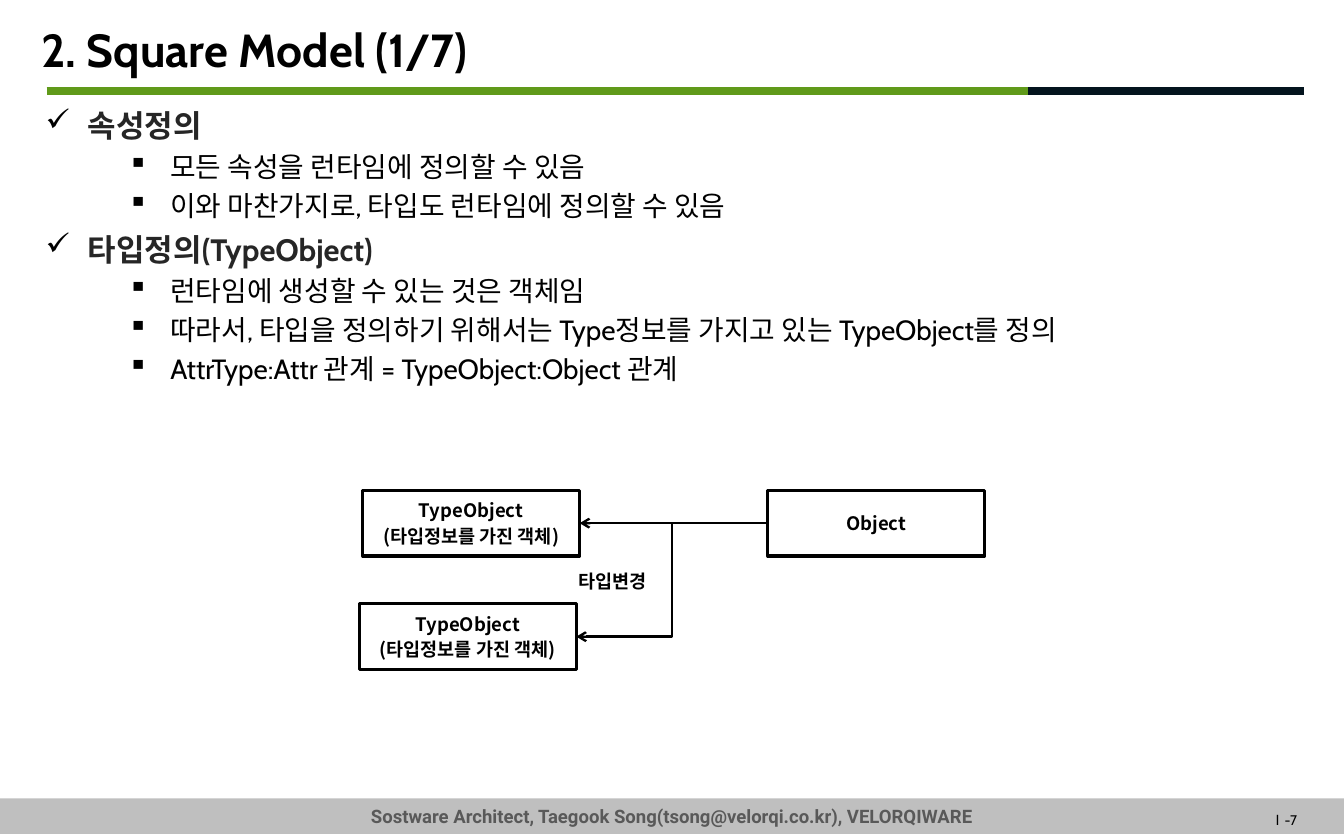
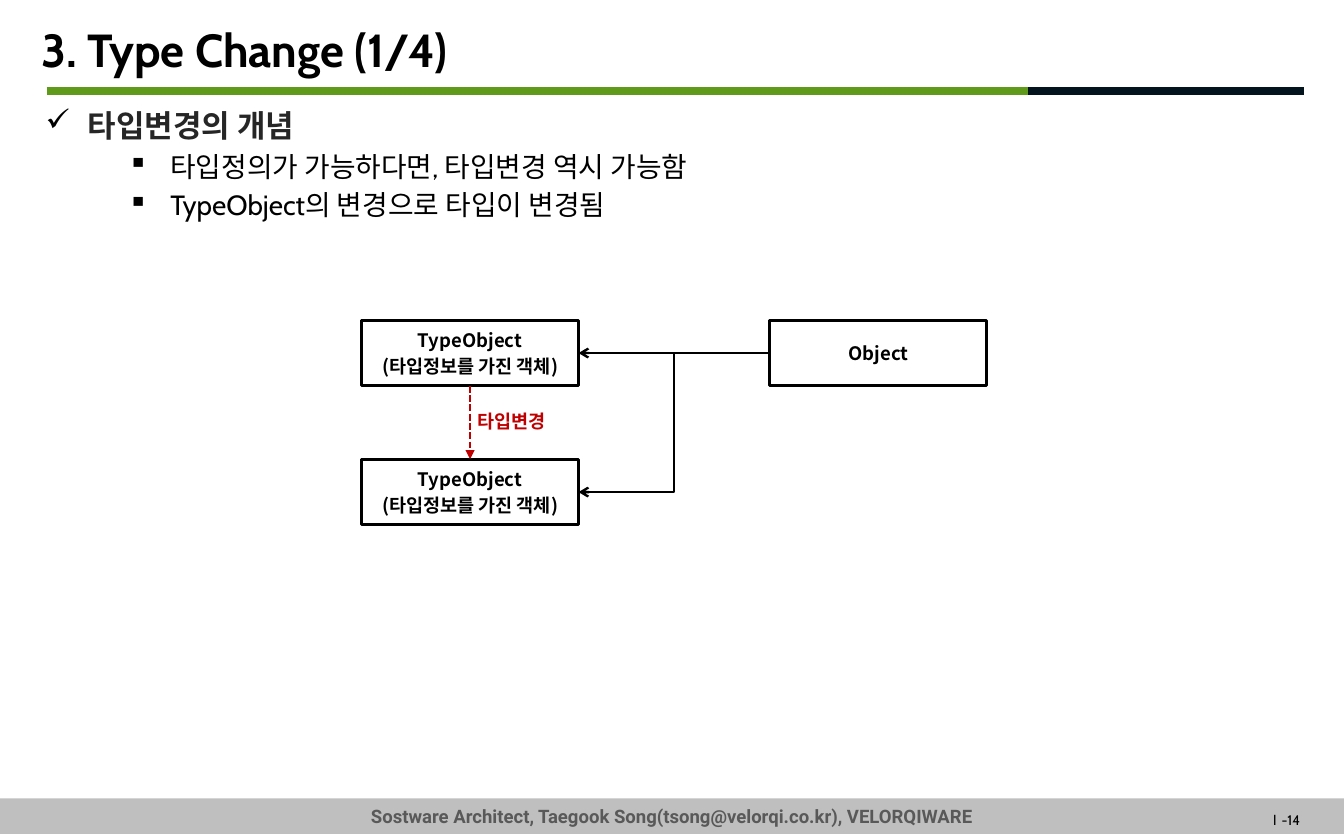
from dataclasses import dataclass

from lxml import etree
from pptx import Presentation
from pptx import util as u
from pptx.dml.color import RGBColor
from pptx.enum import dml, shapes, text
from pptx.oxml import ns

PX = 9144


@dataclass(frozen=True)
class Theme:
    black: str = "000000"
    white: str = "FFFFFF"
    heading: str = "262626"
    green: str = "609A1A"
    navy: str = "04141E"
    band: str = "BFBFBF"
    footer: str = "595959"
    red: str = "C00000"
    body_font: str = "Cabin"
    box_font: str = "Noto Sans CJK KR"
    footer_font: str = "Roboto"
    title_size: int = 30
    heading_size: int = 20
    item_size: int = 18
    label_size: int = 12
    page_size: int = 9


T = Theme()
FOOTER = "Sostware Architect, Taegook Song(tsong@velorqi.co.kr), VELORQIWARE"
TOP, LEFT, BOTTOM, RIGHT = range(4)
BOX_W, BOX_H = 195, 59
TYPE_OBJECT = ("TypeObject", "(타입정보를 가진 객체)")


def px(*values):
    return [u.Emu(v * PX) for v in values]


def rgb(color):
    return RGBColor.from_string(color)


def add_xml(parent, tag, **attrs):
    return etree.SubElement(parent, ns.qn(tag), attrs)


def write(p, content, size=T.label_size, font=T.body_font, color=T.black,
          bold=False, align=None, before=None):
    r = p.add_run()
    r.text = content
    r.font.size = u.Pt(size)
    r.font.name = font
    r.font.bold = bold
    r.font.color.rgb = rgb(color)
    if align is not None:
        p.alignment = align
    if before is not None:
        spacing = add_xml(p._p.get_or_add_pPr(), "a:spcBef")
        add_xml(spacing, "a:spcPct", val=str(before * 1000))


def add_bullet(p, mark, indent):
    pPr = p._p.get_or_add_pPr()
    pPr.set("marL", str(indent * PX))
    pPr.set("indent", str(-38 * PX))
    add_xml(add_xml(pPr, "a:buClr"), "a:srgbClr", val=T.black)
    add_xml(pPr, "a:buChar", char=mark)


class Deck:
    def __init__(self):
        self.prs = Presentation()
        self.prs.slide_width, self.prs.slide_height = px(1208, 750)
        self.slide = None

    def new_slide(self, title, page):
        self.slide = self.prs.slides.add_slide(self.prs.slide_layouts[6])
        band = self.rect(0, 718, 1208, 32, T.band)
        write(band.text_frame.paragraphs[0], FOOTER, font=T.footer_font,
              color=T.footer, bold=True, align=text.PP_ALIGN.CENTER, before=50)
        p = self.text_box(1100, 724, 108, 26).paragraphs[0]
        p.line_spacing = 1.05
        write(p, "Ⅰ", size=T.page_size, font=T.box_font,
              align=text.PP_ALIGN.CENTER, before=35)
        write(p, f"-{page}", size=T.page_size)
        self.line((42, 82), (964, 82), T.green, 5)
        self.line((924, 82), (1172, 82), T.navy, 5)
        tf = self.text_box(37, 13, 1132, 63, inset=(0, 0), grow=False)
        tf.vertical_anchor = text.MSO_ANCHOR.MIDDLE
        write(tf.paragraphs[0], title, size=T.title_size, bold=True)

    def rect(self, x, y, w, h, fill, line=None):
        sp = self.slide.shapes.add_shape(shapes.MSO_SHAPE.RECTANGLE, *px(x, y, w, h))
        sp.shadow.inherit = False
        sp.fill.solid()
        sp.fill.fore_color.rgb = rgb(fill)
        if line:
            sp.line.color.rgb = rgb(line)
            sp.line.width = u.Pt(2)
        else:
            sp.line.fill.background()
        sp.text_frame.vertical_anchor = text.MSO_ANCHOR.MIDDLE
        return sp

    def text_box(self, x, y, w, h, inset=(10, 5), grow=True):
        tf = self.slide.shapes.add_textbox(*px(x, y, w, h)).text_frame
        tf.word_wrap = True
        tf.margin_left = tf.margin_right = px(inset[0])[0]
        tf.margin_top = tf.margin_bottom = px(inset[1])[0]
        if grow:
            tf.auto_size = text.MSO_AUTO_SIZE.SHAPE_TO_FIT_TEXT
        return tf

    def outline(self, sections, width, height):
        tf = self.text_box(37, 91, width, height, inset=(4, 5))
        p = tf.paragraphs[0]
        for heading, items in sections:
            if p is None:
                p = tf.add_paragraph()
            p.space_before = u.Pt(6)
            write(p, heading, size=T.heading_size, color=T.heading, bold=True)
            add_bullet(p, "✓", 38)
            for item in items:
                p = tf.add_paragraph()
                p.level = 1
                write(p, item, size=T.item_size, before=20)
                add_bullet(p, "▪", 112)
            p = None

    def box(self, x, y, *lines):
        sp = self.rect(x, y, BOX_W, BOX_H, T.white, T.black)
        tf = sp.text_frame
        tf.word_wrap = False
        for i, content in enumerate(lines):
            p = tf.add_paragraph() if i else tf.paragraphs[0]
            write(p, content, font=T.box_font, bold=True,
                  align=text.PP_ALIGN.CENTER, before=20)
        return sp

    def label(self, x, y, content, color=T.black):
        p = self.text_box(x, y, 94, 30).paragraphs[0]
        write(p, content, color=color, bold=True)

    def line(self, start, end, color, width, kind=shapes.MSO_CONNECTOR.STRAIGHT):
        cx = self.slide.shapes.add_connector(kind, *px(*start, *end))
        cx.line.color.rgb = rgb(color)
        cx.line.width = u.Pt(width)
        add_xml(cx._element.spPr, "a:effectLst")
        return cx

    def arrow(self, source, side, target, target_side, color=T.black,
              head="arrow", dash=None):
        aligned = source.top == target.top or source.left == target.left
        kind = shapes.MSO_CONNECTOR.STRAIGHT if aligned else shapes.MSO_CONNECTOR.ELBOW
        cx = self.line((0, 0), (0, 0), color, 1.5, kind)
        cx.begin_connect(source, side)
        cx.end_connect(target, target_side)
        if dash:
            cx.line.dash_style = dash
        add_xml(cx.line._get_or_add_ln(), "a:tailEnd", type=head)

    def type_diagram(self, first, second, obj):
        upper = self.box(*first, *TYPE_OBJECT)
        source = self.box(*obj, "Object")
        lower = self.box(*second, *TYPE_OBJECT)
        for target in (upper, lower):
            self.arrow(source, LEFT, target, RIGHT)
        return upper, lower


def main():
    deck = Deck()

    deck.new_slide("2. Square Model (1/7)", 7)
    deck.outline([
        ("속성정의", [
            "모든 속성을 런타임에 정의할 수 있음",
            "이와 마찬가지로, 타입도 런타임에 정의할 수 있음",
        ]),
        ("타입정의(TypeObject)", [
            "런타임에 생성할 수 있는 것은 객체임",
            "따라서, 타입을 정의하기 위해서는 Type정보를 가지고 있는 TypeObject를 정의",
            "AttrType:Attr 관계 = TypeObject:Object 관계",
        ]),
    ], 1111, 265)
    deck.type_diagram((326, 441), (323, 543), (690, 441))
    deck.label(510, 508, "타입변경")

    deck.new_slide("3. Type Change (1/4)", 14)
    deck.outline([
        ("타입변경의 개념", [
            "타입정의가 가능하다면, 타입변경 역시 가능함",
            "TypeObject의 변경으로 타입이 변경됨",
        ]),
    ], 1139, 116)
    upper, lower = deck.type_diagram((325, 288), (325, 413), (692, 288))
    deck.label(419, 364, "타입변경", T.red)
    deck.arrow(upper, BOTTOM, lower, TOP, T.red, "triangle",
               dml.MSO_LINE.SQUARE_DOT)

    deck.prs.save("out.pptx")


if __name__ == "__main__":
    main()
